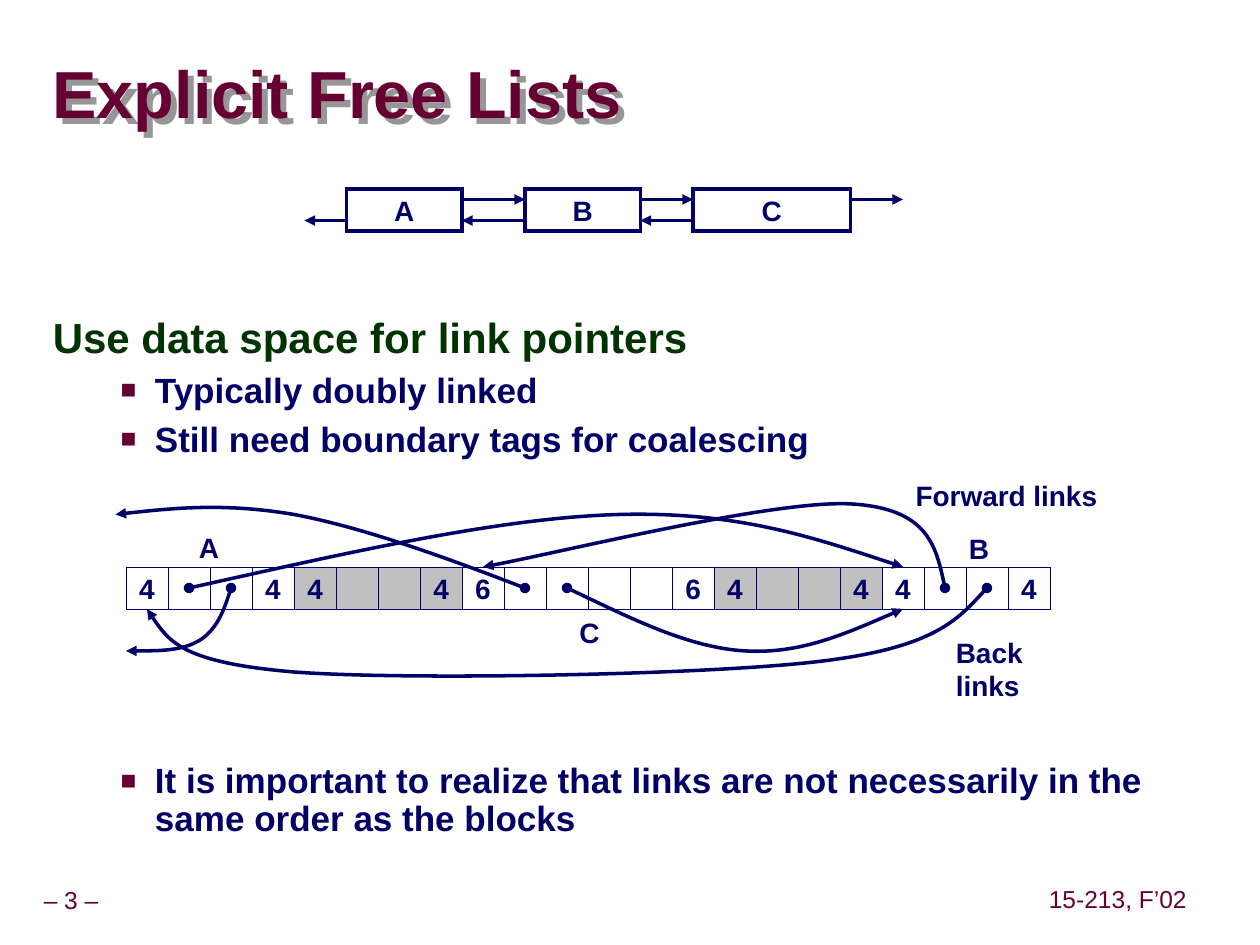
"""Build the slide on explicit free lists with its two linked-block diagrams."""
from itertools import pairwise

from lxml import etree
from pptx import Presentation
from pptx import util as u
from pptx.dml.color import RGBColor
from pptx.enum import shapes, text
from pptx.oxml import ns

NAVY = RGBColor(0x00, 0x00, 0x66)
MAROON = RGBColor(0x66, 0x00, 0x33)
GREEN = RGBColor(0x00, 0x33, 0x00)
GRAY = RGBColor(0xC0, 0xC0, 0xC0)
WHITE = RGBColor(0xFF, 0xFF, 0xFF)
SHADOW = RGBColor(0x96, 0x96, 0x96)
FONT = "Arial"
STEP = 2.54 / 12
CELL = 4
ROW_LEFT, ROW_TOP = 12, 54


def grid(*units):
    return [u.Cm(unit * STEP) for unit in units]


def add_xml(parent, tag, **attributes):
    return etree.SubElement(parent, ns.qn(tag), attributes)


def write(paragraph, words, size=16, color=NAVY, bold=True,
          align=text.PP_ALIGN.LEFT, spacing=1.0, before=0):
    paragraph.alignment = align
    paragraph.line_spacing = spacing
    paragraph.space_before = u.Pt(before)
    run = paragraph.add_run()
    run.text = words
    run.font.name = FONT
    run.font.size = u.Pt(size)
    run.font.bold = bold
    run.font.color.rgb = color


class Deck:
    def __init__(self, slide, line_width=2):
        self.slide = slide
        self.line_width = line_width

    def place(self, holder, left, top, width, height):
        holder.left, holder.top = u.Cm(left), u.Cm(top)
        holder.width, holder.height = u.Cm(width), u.Cm(height)
        holder.text_frame.auto_size = text.MSO_AUTO_SIZE.NONE
        return holder.text_frame

    def title(self, words, *box):
        holder = self.slide.shapes.title
        frame = self.place(holder, *box)
        frame.margin_left = frame.margin_right = 0
        frame.margin_top = frame.margin_bottom = 0
        frame.vertical_anchor = text.MSO_ANCHOR.MIDDLE
        write(frame.paragraphs[0], words, size=38, color=MAROON, spacing=0.87)
        effects = add_xml(holder._element.spPr, "a:effectLst")
        shadow = add_xml(effects, "a:outerShdw", dist=str(u.Cm(0.17)),
                         dir="2700000", algn="ctr", rotWithShape="0")
        add_xml(shadow, "a:srgbClr", val=str(SHADOW))

    def body(self, heading, points, *box):
        frame = self.place(self.slide.placeholders[1], *box)
        frame.margin_top = u.Cm(3.04)
        first = frame.paragraphs[0]
        write(first, heading, size=24, color=GREEN, spacing=0.85)
        properties = first._p.get_or_add_pPr()
        properties.set("marL", "0")
        properties.set("indent", "0")
        add_xml(properties, "a:buNone")
        for words, before in points:
            self.bullet(frame.add_paragraph(), words, before)

    def bullet(self, paragraph, words, before):
        paragraph.level = 1
        write(paragraph, words, size=20, spacing=0.9, before=before)
        properties = paragraph._p.get_or_add_pPr()
        properties.set("marL", str(u.Cm(2.06)))
        properties.set("indent", str(u.Cm(-0.69)))
        tint = add_xml(properties, "a:buClr")
        add_xml(tint, "a:srgbClr", val=str(MAROON))
        add_xml(properties, "a:buSzPct", val="75000")
        add_xml(properties, "a:buFont", typeface=FONT)
        add_xml(properties, "a:buChar", char="■")

    def label(self, words, left, top, width, height=0.94, margin=0.25, **style):
        box = self.slide.shapes.add_textbox(
            u.Cm(left), u.Cm(top), u.Cm(width), u.Cm(height))
        frame = box.text_frame
        frame.word_wrap = False
        frame.auto_size = text.MSO_AUTO_SIZE.SHAPE_TO_FIT_TEXT
        frame.margin_left = frame.margin_right = u.Cm(margin)
        frame.margin_top = frame.margin_bottom = u.Cm(0.13)
        write(frame.paragraphs[0], words, **style)

    def block(self, words, left, top, width, fill=WHITE, line_width=None):
        box = self.slide.shapes.add_shape(
            shapes.MSO_SHAPE.RECTANGLE, *grid(left, top, width, CELL))
        box.shadow.inherit = False
        box.fill.solid()
        box.fill.fore_color.rgb = fill
        box.line.color.rgb = NAVY
        box.line.width = u.Pt(line_width or self.line_width)
        add_xml(box.line._get_or_add_ln(), "a:miter", lim="800000")
        if words:
            frame = box.text_frame
            frame.word_wrap = False
            frame.vertical_anchor = text.MSO_ANCHOR.MIDDLE
            write(frame.paragraphs[0], words, align=text.PP_ALIGN.CENTER)

    def pen(self, link, **ends):
        link.line.color.rgb = NAVY
        link.line.width = u.Pt(self.line_width)
        outline = link.line._get_or_add_ln()
        for end, kind in ends.items():
            add_xml(outline, f"a:{end}", type=kind)

    def arrow(self, start, end, height):
        link = self.slide.shapes.add_connector(
            shapes.MSO_CONNECTOR.STRAIGHT, *grid(start, height, end, height))
        self.pen(link, tailEnd="triangle")
        add_xml(link._element.spPr, "a:effectLst")

    def curve(self, knots):
        start, *controls = [grid(*knot) for knot in knots]
        builder = self.slide.shapes.build_freeform(*start)
        builder.add_line_segments(controls, close=False)
        link = builder.convert_to_shape()
        segments = list(link._element.iter(ns.qn("a:lnTo")))
        outline = segments[0].getparent()
        for index in range(0, len(segments), 3):
            bend = add_xml(outline, "a:cubicBezTo")
            for segment in segments[index:index + 3]:
                bend.append(segment[0])
                outline.remove(segment)
        link.shadow.inherit = False
        link.fill.background()
        self.pen(link, headEnd="oval", tailEnd="triangle")


def main():
    presentation = Presentation()
    presentation.slide_width = u.Cm(25.4)
    presentation.slide_height = u.Cm(19.05)
    deck = Deck(presentation.slides.add_slide(presentation.slide_layouts[1]))

    footer = dict(height=0.79, margin=0.13, size=14, color=MAROON, bold=False,
                  align=text.PP_ALIGN.CENTER, spacing=0.9)
    deck.label("– 3 –", -0.23, 17.78, 3.33, **footer)
    deck.label("15-213, F’02", 21.01, 17.75, 3.05, **footer)
    deck.title("Explicit Free Lists", 1.06, 1.16, 16.87, 1.6)
    deck.body("Use data space for link pointers", [
        ("Typically doubly linked", 6.2),
        ("Still need boundary tags for coalescing", 6.2),
        ("It is important to realize that links are not necessarily in the "
         "same order as the blocks", 173.5),
    ], 0.81, 3.4, 23.09, 14.5)

    nodes = [("A", 33, 11), ("B", 50, 11), ("C", 66, 15)]
    for name, left, width in nodes:
        deck.block(name, left, 18, width)
    for (_, left, width), (_, following, _) in pairwise(nodes):
        deck.arrow(left + width, following, 19)
        deck.arrow(following, left + width, 21)
    deck.arrow(81, 86, 19)
    deck.arrow(33, 29, 21)

    left = ROW_LEFT
    for size, fill in [(4, WHITE), (4, GRAY), (6, WHITE), (4, GRAY), (4, WHITE)]:
        for word in range(size):
            tag = str(size) if word in (0, size - 1) else ""
            deck.block(tag, left, ROW_TOP, CELL, fill, line_width=0.25)
            left += CELL

    forward_links = [
        [(18, 56), (32.9, 52.7), (47.6, 49.3), (59, 49),
         (70.3, 48.7), (78.1, 51.4), (86, 54)],
        [(90, 56), (89.2, 52.2), (88.3, 48.4), (81, 48),
         (73.7, 47.6), (51.8, 53), (46, 54)],
        [(50, 56), (42.2, 53), (34.4, 50.2), (28, 49),
         (21.5, 47.9), (16.2, 48.4), (11, 49)],
    ]
    back_links = [
        [(94, 56), (91.4, 58.8), (89, 61.7), (78, 63), (67, 64.3),
         (38.6, 64.8), (28, 64), (17.3, 63.1), (15.7, 60.6), (14, 58)],
        [(54, 56), (59.9, 58.8), (65.6, 61.7), (71, 62),
         (76.3, 62.3), (81.1, 60.1), (86, 58)],
        [(22, 56), (21.4, 58), (20.6, 60), (19, 61),
         (17.3, 62), (14.6, 62), (12, 62)],
    ]
    for knots in forward_links + back_links:
        deck.curve(knots)

    deck.label("Forward links", 18.21, 9.52, 4.17)
    deck.label("Back links", 19.02, 12.68, 3.28)
    for name, left, top in [("A", 3.76, 10.57), ("B", 19.28, 10.59),
                            ("C", 11.43, 12.27)]:
        deck.label(name, left, top, 0.91)
    presentation.save("out.pptx")


if __name__ == "__main__":
    main()
